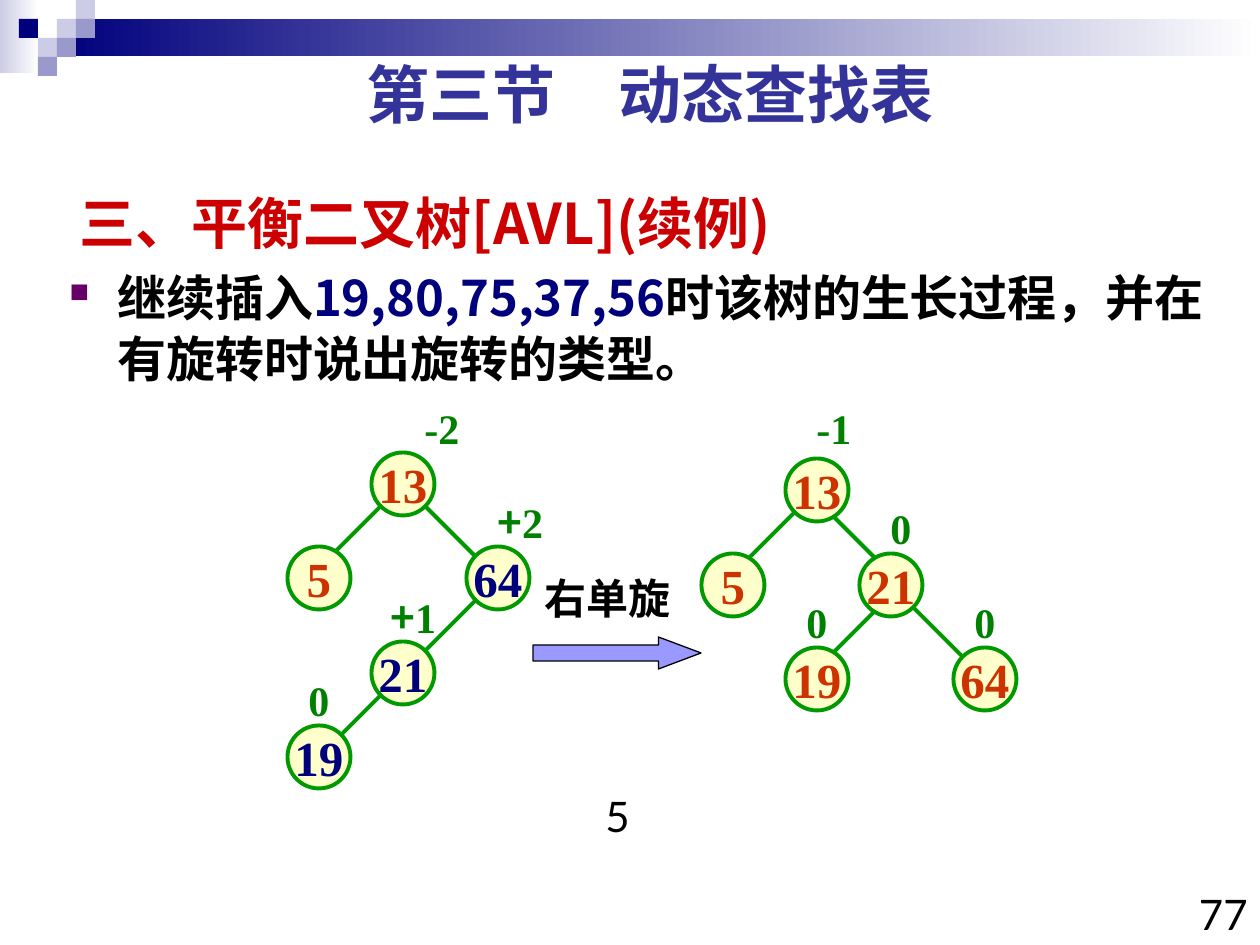
from lxml import etree
from pptx import Presentation
from pptx import util as u
from pptx.dml.color import RGBColor
from pptx.enum import shapes, text
from pptx.oxml import ns

PX = 914400 / 126

NAVY = RGBColor(0x00, 0x00, 0x7D)
LAVENDER = RGBColor(0xCC, 0xCC, 0xE6)
MUTED_BLUE = RGBColor(0x99, 0x99, 0xCC)
ARROW_BLUE = RGBColor(0x99, 0x99, 0xFF)
TITLE_BLUE = RGBColor(0x33, 0x33, 0x99)
WHITE = RGBColor(0xFF, 0xFF, 0xFF)
BLACK = RGBColor(0x00, 0x00, 0x00)
RED = RGBColor(0xCC, 0x00, 0x00)
ORANGE = RGBColor(0xCC, 0x33, 0x00)
CREAM = RGBColor(0xFF, 0xFF, 0xCC)
LINE_GREEN = RGBColor(0x00, 0x99, 0x00)
LABEL_GREEN = RGBColor(0x00, 0x80, 0x00)

SANS = "Noto Sans CJK SC"
LATO = "Lato"
SERIF = "Times New Roman"

NODE = 63
EDGE_DROP = 21

# value, centre, colour, balance label (text, width, offset from the centre)
LEFT_NODES = [
    ("13", (116, 88), ORANGE, ("-2", 60, (9, -88))),
    ("5", (32, 182), ORANGE, None),
    ("64", (211, 182), NAVY, ("+2", 71, (-13, -88))),
    ("21", (116, 277), NAVY, ("+1", 71, (-25, -88))),
    ("19", (32, 361), NAVY, ("0", 45, (-23, -89))),
]
RIGHT_NODES = [
    ("13", (116, 94), ORANGE, ("-1", 60, (-13, -94))),
    ("5", (32, 189), ORANGE, None),
    ("21", (190, 189), ORANGE, ("0", 45, (-13, -89))),
    ("19", (116, 283), ORANGE, ("0", 45, (-23, -89))),
    ("64", (284, 283), ORANGE, ("0", 45, (-23, -89))),
]
# parent index, start offset across, signed run of the 45-degree edge
LEFT_EDGES = [(0, -21, -53), (0, 21, 53), (2, -21, -63), (3, -21, -63)]
RIGHT_EDGES = [(0, -21, -53), (0, 11, 53), (2, -11, -63), (2, 21, 63)]


def px(*lengths):
    return [u.Emu(round(length * PX)) for length in lengths]


def add_child(parent, tag, **attributes):
    return etree.SubElement(parent, ns.qn(tag), attributes)


def set_font(paragraph, size, name, color, bold=True):
    font = paragraph.font
    font.size, font.name, font.bold = u.Pt(size), name, bold
    font.color.rgb = color
    add_child(paragraph._p.pPr.find(ns.qn("a:defRPr")), "a:ea", typeface=SANS)


def add_text(slide, box, words, size, name, color, bold=True,
             align=text.PP_ALIGN.LEFT, wrap=True):
    shape = slide.shapes.add_textbox(*px(*box))
    frame = shape.text_frame
    frame.word_wrap = wrap
    frame.auto_size = text.MSO_AUTO_SIZE.NONE
    paragraph = frame.paragraphs[0]
    paragraph.alignment = align
    if words:
        paragraph.add_run().text = words
    set_font(paragraph, size, name, color, bold)
    return frame


def add_block(slide, kind, box, fill=None, line=None, width=0):
    shape = slide.shapes.add_shape(kind, *px(*box))
    shape.shadow.inherit = False
    if fill is not None:
        shape.fill.solid()
        shape.fill.fore_color.rgb = fill
    if line is None:
        shape.line.fill.background()
    else:
        shape.line.color.rgb = line
        shape.line.width = u.Pt(width)
    return shape


def add_header(slide, left, top):
    """Two fading bars and a mosaic of small squares."""
    rectangle = shapes.MSO_SHAPE.RECTANGLE
    square = 19
    bars = [((0, 0, 39, 73), LAVENDER), ((57, square, 1203, 37), NAVY)]
    for (x, y, width, height), color in bars:
        bar = add_block(slide, rectangle, (left + x, top + y, width, height))
        bar.fill.gradient()
        bar.fill.gradient_angle = 0
        for stop, stop_color in zip(bar.fill.gradient_stops, (color, WHITE)):
            stop.color.rgb = stop_color
    mosaic = [(3, 1, LAVENDER), (4, 0, LAVENDER), (4, 1, MUTED_BLUE),
              (2, 2, LAVENDER), (1, 1, NAVY), (3, 2, MUTED_BLUE),
              (2, 3, MUTED_BLUE)]
    for column, row, color in mosaic:
        box = (left + column * square, top + row * square, square, square)
        add_block(slide, rectangle, box, color)


def add_body(slide, box):
    frame = add_text(slide, box, "", 28, SANS, BLACK)
    paragraph = frame.paragraphs[0]
    properties = paragraph._p.get_or_add_pPr()
    indent = px(48)[0]
    properties.set("marL", str(indent))
    properties.set("indent", str(-indent))
    default_font = properties.find(ns.qn("a:defRPr"))
    properties.remove(default_font)
    add_child(add_child(properties, "a:buClr"), "a:srgbClr", val="660066")
    add_child(properties, "a:buSzPct", val="55000")
    add_child(properties, "a:buChar", char="■")
    properties.append(default_font)
    paragraph.line_spacing = 1.05
    for words, color in [("继续插入", BLACK), ("19,80,75,37,56", NAVY),
                         ("时该树的生长过程，并在有旋转时说出旋转的类型。", BLACK)]:
        run = paragraph.add_run()
        run.text = words
        run.font.color.rgb = color


def add_edge(slide, x, y, run):
    edge = slide.shapes.add_connector(
        shapes.MSO_CONNECTOR.STRAIGHT, *px(x, y, x + run, y + abs(run)))
    edge.line.color.rgb = LINE_GREEN
    edge.line.width = u.Pt(2.25)
    add_child(edge._element.spPr, "a:effectLst")


def add_node(slide, x, y, value, color):
    box = (x - NODE / 2, y - NODE / 2, NODE, NODE)
    node = add_block(slide, shapes.MSO_SHAPE.OVAL, box, CREAM, LINE_GREEN, 2.25)
    frame = node.text_frame
    frame.word_wrap = False
    frame.vertical_anchor = text.MSO_ANCHOR.MIDDLE
    paragraph = frame.paragraphs[0]
    paragraph.alignment = text.PP_ALIGN.CENTER
    paragraph.add_run().text = value
    set_font(paragraph, 28, SERIF, color)


def add_balance(slide, x, y, width, value):
    """Balance factor; a plus sign is set in the sans face."""
    digits = value.lstrip("+")
    frame = add_text(slide, (x, y, width, 63), "", 24, SERIF, LABEL_GREEN,
                     wrap=False)
    paragraph = frame.paragraphs[0]
    if digits != value:
        plus = paragraph.add_run()
        plus.text = "+"
        plus.font.name = SANS
    paragraph.add_run().text = digits


def add_tree(slide, left, top, nodes, edges):
    for parent, offset, run in edges:
        x, y = nodes[parent][1]
        add_edge(slide, left + x + offset, top + y + EDGE_DROP, run)
    for value, (x, y), color, balance in nodes:
        add_node(slide, left + x, top + y, value, color)
        if balance:
            label, width, (across, down) = balance
            add_balance(slide, left + x + across, top + y + down, width, label)


def add_rotation(slide, left, top):
    add_text(slide, (left, top, 151, 63), "右单旋", 24, SERIF, BLACK, wrap=False)
    arrow = add_block(slide, shapes.MSO_SHAPE.RIGHT_ARROW,
                      (left + 1, top + 71, 168, 32), ARROW_BLUE, BLACK, 0.75)
    arrow.adjustments[0] = 0.5
    arrow.adjustments[1] = 1.33


def main():
    presentation = Presentation()
    presentation.slide_width, presentation.slide_height = px(1260, 945)
    slide = presentation.slides.add_slide(presentation.slide_layouts[6])
    center, right = text.PP_ALIGN.CENTER, text.PP_ALIGN.RIGHT

    add_header(slide, 0, 0)
    heading = add_text(slide, (67, 175, 976, 95), "三、平衡二叉树[AVL](续例)",
                       32, SANS, RED)
    heading.vertical_anchor = text.MSO_ANCHOR.MIDDLE
    add_text(slide, (1176, 882, 84, 74), "77", 24, LATO, BLACK, False, right)
    add_text(slide, (67, 49, 1166, 88), "第三节　动态查找表", 36, LATO,
             TITLE_BLUE, align=center)
    add_body(slide, (57, 258, 1207, 588))
    add_text(slide, (581, 784, 73, 63), "5", 24, LATO, BLACK, False, center)
    add_tree(slide, 287, 396, LEFT_NODES, LEFT_EDGES)
    add_rotation(slide, 532, 566)
    add_tree(slide, 701, 396, RIGHT_NODES, RIGHT_EDGES)
    presentation.save("out.pptx")


if __name__ == "__main__":
    main()
